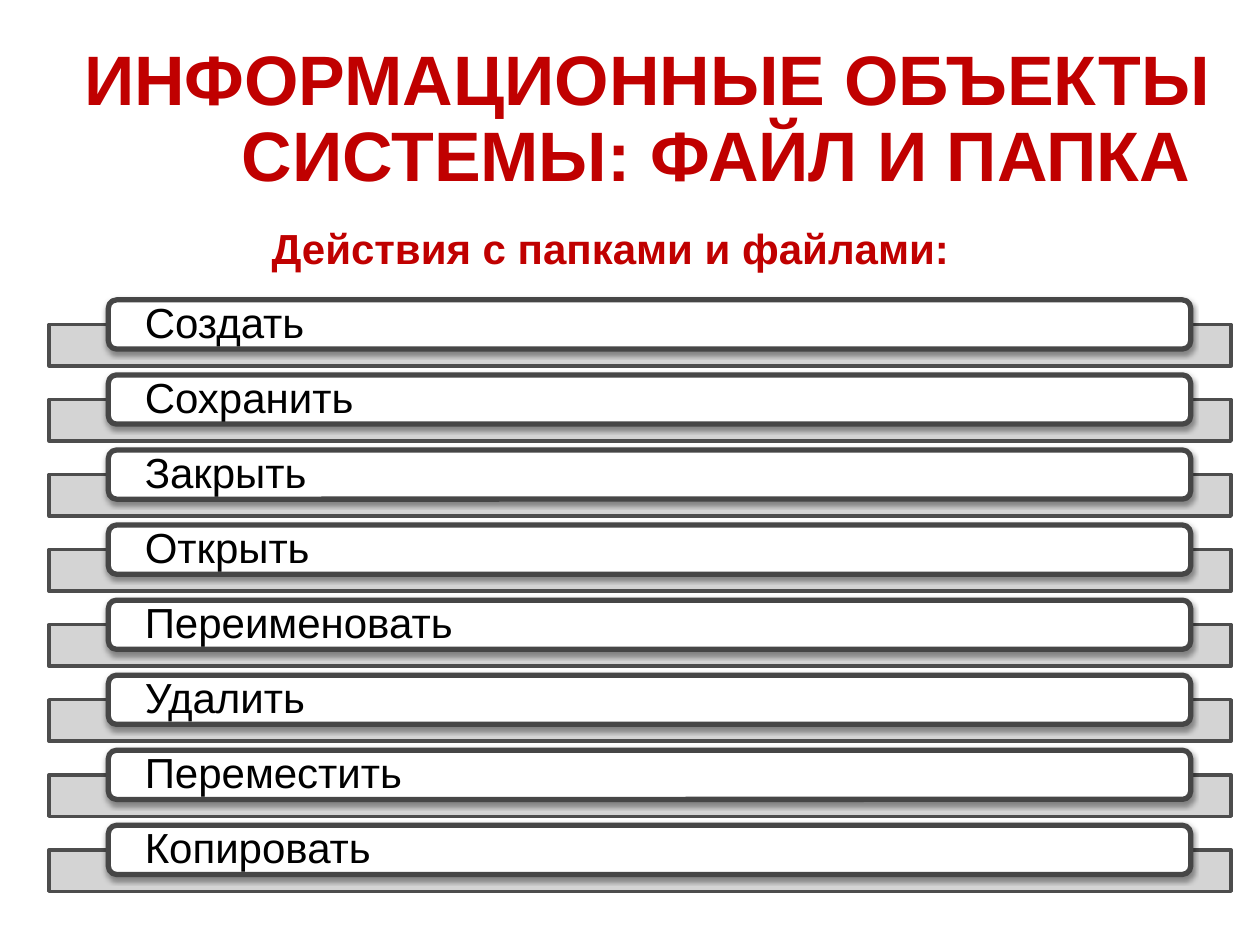
import pptx
import pptx.util
import pptx.dml.color
import pptx.enum.shapes
import pptx.enum.text
import pptx.oxml
import pptx.oxml.ns

Pt = pptx.util.Pt
Align = pptx.enum.text.PP_ALIGN
Kind = pptx.enum.shapes.MSO_SHAPE

COLS, ROWS = 100, 75
STEP = 5.957  # rows from one action to the next
HUES = {
    "title": "C00000",
    "text": "000000",
    "card": "FFFFFF",
    "edge": "464646",
    "bar": "D0D0D0",
    "rim": "4D4D4D",
}
ACTIONS = [
    "Создать", "Сохранить", "Закрыть", "Открыть",
    "Переименовать", "Удалить", "Переместить", "Копировать",
]
NS = pptx.oxml.ns.nsdecls("a")
SHADOW = (
    f'<a:effectLst {NS}><a:outerShdw blurRad="{Pt(3.1)}" dist="{Pt(1.6)}" '
    'dir="5400000" algn="t" rotWithShape="0"><a:srgbClr val="000000">'
    '<a:alpha val="38000"/></a:srgbClr></a:outerShdw></a:effectLst>'
)
ALPHA = f'<a:alpha {NS} val="90000"/>'


def hue(name):
    return pptx.dml.color.RGBColor.from_string(HUES[name])


class Deck:
    font = "Arial"

    def __init__(self):
        self.prs = pptx.Presentation()
        self.prs.slide_width = pptx.util.Inches(10)
        self.prs.slide_height = pptx.util.Inches(7.5)
        self.slide = self.prs.slides.add_slide(self.prs.slide_layouts[6])

    def place(self, x, y, w, h):
        """Turn grid columns and rows into slide lengths."""
        col = self.prs.slide_width / COLS
        row = self.prs.slide_height / ROWS
        return [round(n) for n in (x * col, y * row, w * col, h * row)]

    def letter(self, shape, text, size, color, align, bold=False):
        """Put one styled paragraph into a shape."""
        para = shape.text_frame.paragraphs[0]
        para.text = text
        para.alignment = align
        para.font.name = self.font
        para.font.size = Pt(size)
        para.font.bold = bold
        para.font.color.rgb = hue(color)
        return para

    def label(self, area, text, size, align, wrap=True):
        box = self.slide.shapes.add_textbox(*self.place(*area))
        box.text_frame.word_wrap = wrap
        return box, self.letter(box, text, size, "title", align, True)

    def block(self, kind, area, fill, line, width):
        shape = self.slide.shapes.add_shape(kind, *self.place(*area))
        shape.shadow.inherit = False
        shape.fill.solid()
        shape.fill.fore_color.rgb = hue(fill)
        shape.line.color.rgb = hue(line)
        shape.line.width = Pt(width)
        return shape

    def bar(self, top):
        shape = self.block(Kind.RECTANGLE, (3.9, top, 93.8, 3.3), "bar", "rim", 2)
        tint = shape.element.spPr.find(pptx.oxml.ns.qn("a:solidFill"))[0]
        tint.append(pptx.oxml.parse_xml(ALPHA))

    def card(self, top, text):
        shape = self.block(
            Kind.ROUNDED_RECTANGLE, (8.6, top, 85.9, 3.9), "card", "edge", 3)
        props = shape.element.spPr
        plain = props.find(pptx.oxml.ns.qn("a:effectLst"))
        props.replace(plain, pptx.oxml.parse_xml(SHADOW))
        frame = shape.text_frame
        frame.margin_left = frame.margin_right = pptx.util.Inches(0.27)
        frame.margin_top = frame.margin_bottom = 0
        frame.vertical_anchor = pptx.enum.text.MSO_ANCHOR.MIDDLE
        para = self.letter(shape, text, 24, "text", Align.LEFT)
        para.line_spacing = 0.9


def main():
    deck = Deck()
    _, title = deck.label(
        (0, 3.1, 97, 17.2),
        "ИНФОРМАЦИОННЫЕ ОБЪЕКТЫ СИСТЕМЫ: ФАЙЛ И ПАПКА ", 40, Align.RIGHT)
    title.line_spacing = 0.9
    title.space_before = Pt(4)
    indent = pptx.util.Inches(0.38)
    props = title._p.get_or_add_pPr()
    props.set("marL", str(indent))
    props.set("indent", str(-indent))

    box, _ = deck.label(
        (20.3, 17.2, 56.3, 5), "Действия с папками и файлами:", 24,
        Align.CENTER, wrap=False)
    box.text_frame.vertical_anchor = pptx.enum.text.MSO_ANCHOR.MIDDLE
    box.text_frame.auto_size = pptx.enum.text.MSO_AUTO_SIZE.SHAPE_TO_FIT_TEXT

    for i, action in enumerate(ACTIONS):
        top = 23.8 + i * STEP
        deck.bar(top + 1.95)
        deck.card(top, action)
    deck.prs.save("out.pptx")


if __name__ == "__main__":
    main()
